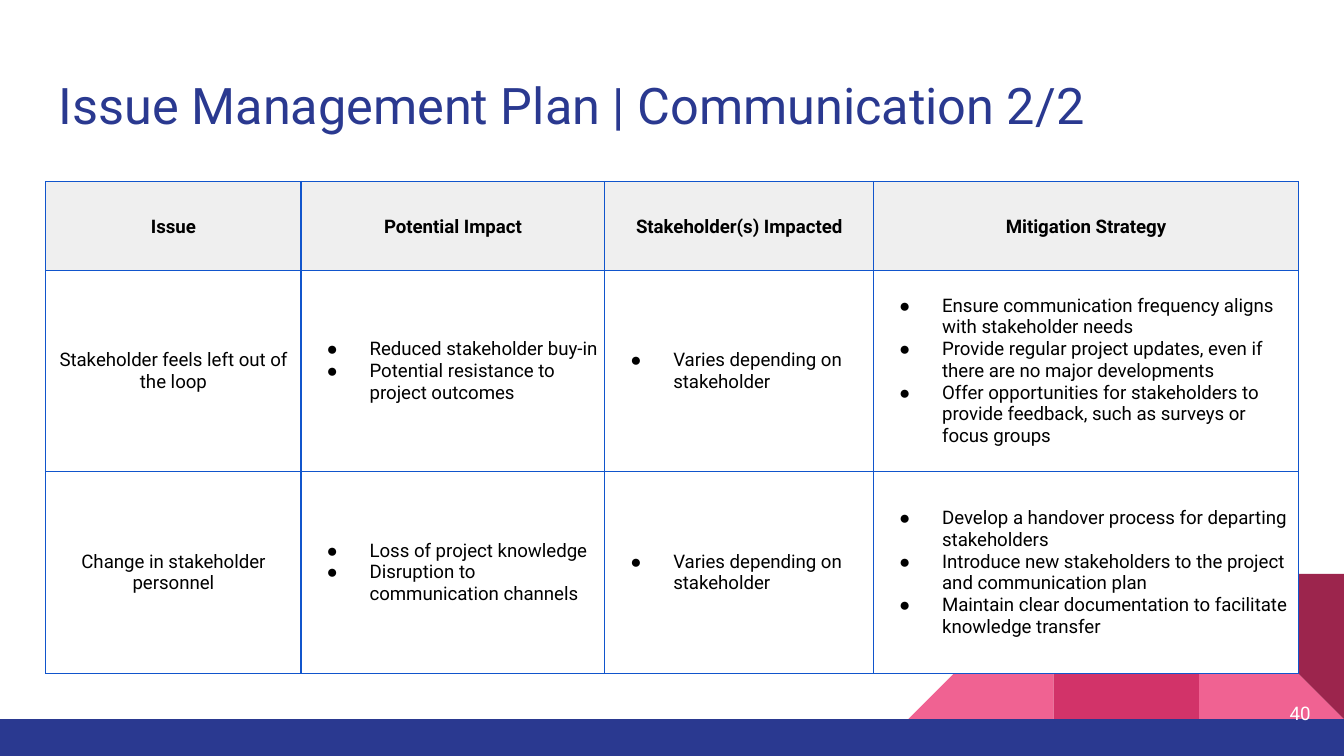
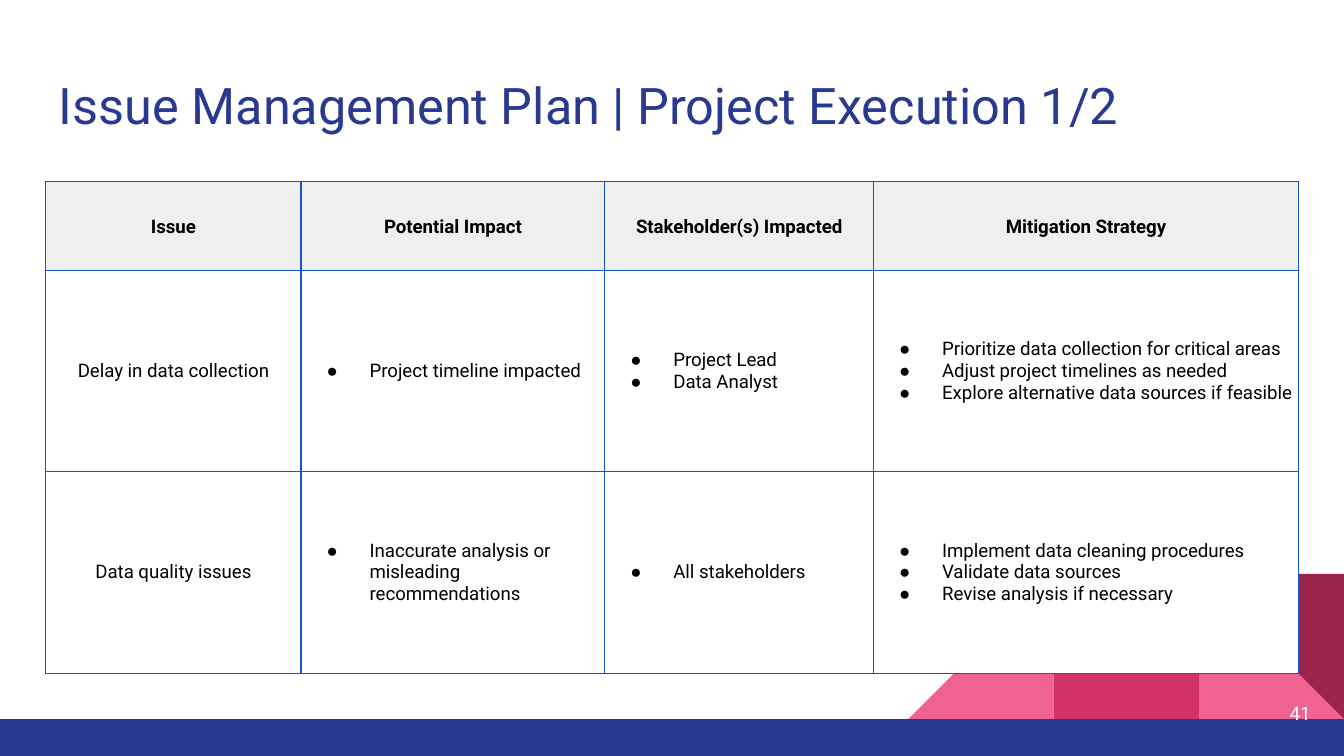
"""Build two issue management plan slides with a shared style."""
from dataclasses import dataclass

from lxml import etree
from pptx import Presentation
from pptx.dml.color import RGBColor
from pptx.enum.shapes import MSO_SHAPE
from pptx.enum.text import MSO_ANCHOR, PP_ALIGN
from pptx.oxml.ns import qn
from pptx.util import Inches, Pt

RECTANGLE = MSO_SHAPE.RECTANGLE
RIGHT_TRIANGLE = MSO_SHAPE.RIGHT_TRIANGLE
TOP, MIDDLE = MSO_ANCHOR.TOP, MSO_ANCHOR.MIDDLE
LEFT, CENTER, RIGHT = PP_ALIGN.LEFT, PP_ALIGN.CENTER, PP_ALIGN.RIGHT


@dataclass(frozen=True)
class Theme:
    font: str = "Roboto"
    bullet_font: str = "Arial"
    title_size: int = 27
    body_size: int = 10
    navy: str = "2A3990"
    pink: str = "F06292"
    rose: str = "D23369"
    wine: str = "9C254D"
    border: str = "1155CC"
    border_width: float = 0.75
    header_fill: str = "EFEFEF"
    white: str = "FFFFFF"
    black: str = "000000"


COLUMN_WIDTHS = (1.9, 2.26, 2, 3.16)
ROW_HEIGHTS = (0.66, 1.5, 1.5)
HEADERS = ("Issue", "Potential Impact", "Stakeholder(s) Impacted", "Mitigation Strategy")

PLANS = (
    (
        "Issue Management Plan | Communication 2/2",
        40,
        (
            (
                "Stakeholder feels left out of the loop",
                ("Reduced stakeholder buy-in", "Potential resistance to project outcomes"),
                ("Varies depending on stakeholder",),
                (
                    "Ensure communication frequency aligns with stakeholder needs",
                    "Provide regular project updates, even if there are no major developments",
                    "Offer opportunities for stakeholders to provide feedback, "
                    "such as surveys or focus groups",
                ),
            ),
            (
                "Change in stakeholder personnel",
                ("Loss of project knowledge", "Disruption to communication channels"),
                ("Varies depending on stakeholder",),
                (
                    "Develop a handover process for departing stakeholders",
                    "Introduce new stakeholders to the project and communication plan",
                    "Maintain clear documentation to facilitate knowledge transfer",
                ),
            ),
        ),
    ),
    (
        "Issue Management Plan | Project Execution 1/2",
        41,
        (
            (
                "Delay in data collection",
                ("Project timeline impacted",),
                ("Project Lead", "Data Analyst"),
                (
                    "Prioritize data collection for critical areas",
                    "Adjust project timelines as needed",
                    "Explore alternative data sources if feasible",
                ),
            ),
            (
                "Data quality issues",
                ("Inaccurate analysis or misleading recommendations",),
                ("All stakeholders",),
                (
                    "Implement data cleaning procedures",
                    "Validate data sources",
                    "Revise analysis if necessary",
                ),
            ),
        ),
    ),
)


class DeckBuilder:
    def __init__(self, presentation, theme):
        self.presentation = presentation
        self.theme = theme
        self.slide = None

    def add_slide(self, title, number):
        self.slide = self.presentation.slides.add_slide(self.presentation.slide_layouts[6])
        self.add_decoration()
        theme = self.theme
        self.add_text(title, (0.34, 0.45, 9.32, 0.66), theme.title_size, theme.navy, LEFT, TOP)
        self.add_text(str(number), (9.25, 5.09, 0.6, 0.43), theme.body_size, theme.white, RIGHT, MIDDLE)

    def add_decoration(self):
        theme, side, top = self.theme, 1.08, 4.27
        left, middle, right = (10 - side * count for count in (3, 2, 1))
        self.add_block(RIGHT_TRIANGLE, (right, top, side, side), theme.pink)
        mirrored = self.add_block(RIGHT_TRIANGLE, (left, top, side, side), theme.pink)
        mirrored._element.spPr.xfrm.set("flipH", "1")
        self.add_block(RECTANGLE, (middle, top, side, side), theme.rose)
        self.add_block(RIGHT_TRIANGLE, (right, top, side, side), theme.wine).rotation = 180
        self.add_block(RECTANGLE, (0, top + side, 10, 0.28), theme.navy)

    def add_block(self, kind, box, color):
        shape = self.slide.shapes.add_shape(kind, *map(Inches, box))
        shape.shadow.inherit = False
        shape.fill.solid()
        shape.fill.fore_color.rgb = RGBColor.from_string(color)
        shape.line.fill.background()
        return shape

    def add_text(self, text, box, size, color, alignment, anchor):
        text_frame = self.slide.shapes.add_textbox(*map(Inches, box)).text_frame
        text_frame.word_wrap = True
        text_frame.vertical_anchor = anchor
        self.set_margins(text_frame, 0.1)
        text_frame.text = text
        paragraph = text_frame.paragraphs[0]
        paragraph.alignment = alignment
        self.format_runs(paragraph, size, color)

    def set_margins(self, target, margin):
        target.margin_left = target.margin_right = Inches(margin)
        target.margin_top = target.margin_bottom = Inches(margin)

    def format_runs(self, paragraph, size, color, bold=False):
        for run in paragraph.runs:
            run.font.name = self.theme.font
            run.font.size = Pt(size)
            run.font.bold = bold
            run.font.color.rgb = RGBColor.from_string(color)

    def add_table(self, issues):
        rows = (HEADERS, *issues)
        frame = self.slide.shapes.add_table(
            len(rows), len(HEADERS), Inches(0.34), Inches(1.35),
            Inches(sum(COLUMN_WIDTHS)), Inches(sum(ROW_HEIGHTS)),
        )
        table = frame.table
        table.first_row = table.horz_banding = False
        for column, width in zip(table.columns, COLUMN_WIDTHS):
            column.width = Inches(width)
        for row, height in zip(table.rows, ROW_HEIGHTS):
            row.height = Inches(height)
        for row_index, contents in enumerate(rows):
            for column_index, content in enumerate(contents):
                self.fill_cell(table.cell(row_index, column_index), content, row_index == 0)

    def fill_cell(self, cell, content, is_header):
        theme = self.theme
        is_list = isinstance(content, tuple)
        cell.text = "\n".join(content) if is_list else content
        cell.vertical_anchor = MIDDLE
        self.set_margins(cell, 0.1 if is_header else 0.01)
        if is_list:
            cell.margin_right = Inches(0.02)
        self.add_borders(cell)
        cell.fill.solid()
        cell.fill.fore_color.rgb = RGBColor.from_string(theme.header_fill if is_header else theme.white)
        for paragraph in cell.text_frame.paragraphs:
            paragraph.alignment = LEFT if is_list else CENTER
            if is_header:
                paragraph.line_spacing = 1.15
                paragraph.space_before = Pt(12)
            if is_list:
                self.add_bullet(paragraph)
            self.format_runs(paragraph, theme.body_size, theme.black, is_header)

    def add_borders(self, cell):
        properties = cell._tc.get_or_add_tcPr()
        for side in ("a:lnL", "a:lnR", "a:lnT", "a:lnB"):
            line = etree.SubElement(properties, qn(side), w=str(Pt(self.theme.border_width)))
            fill = etree.SubElement(line, qn("a:solidFill"))
            etree.SubElement(fill, qn("a:srgbClr"), val=self.theme.border)

    def add_bullet(self, paragraph):
        properties = paragraph._p.get_or_add_pPr()
        properties.set("marL", str(Inches(0.5)))
        properties.set("indent", str(Inches(-0.32)))
        color = etree.SubElement(properties, qn("a:buClr"))
        etree.SubElement(color, qn("a:srgbClr"), val=self.theme.black)
        etree.SubElement(properties, qn("a:buFont"), typeface=self.theme.bullet_font)
        etree.SubElement(properties, qn("a:buChar"), char="●")


def main():
    presentation = Presentation()
    presentation.slide_width = Inches(10)
    presentation.slide_height = Inches(10) * 9 // 16
    builder = DeckBuilder(presentation, Theme())
    for title, number, issues in PLANS:
        builder.add_slide(title, number)
        builder.add_table(issues)
    presentation.save("out.pptx")


if __name__ == "__main__":
    main()
